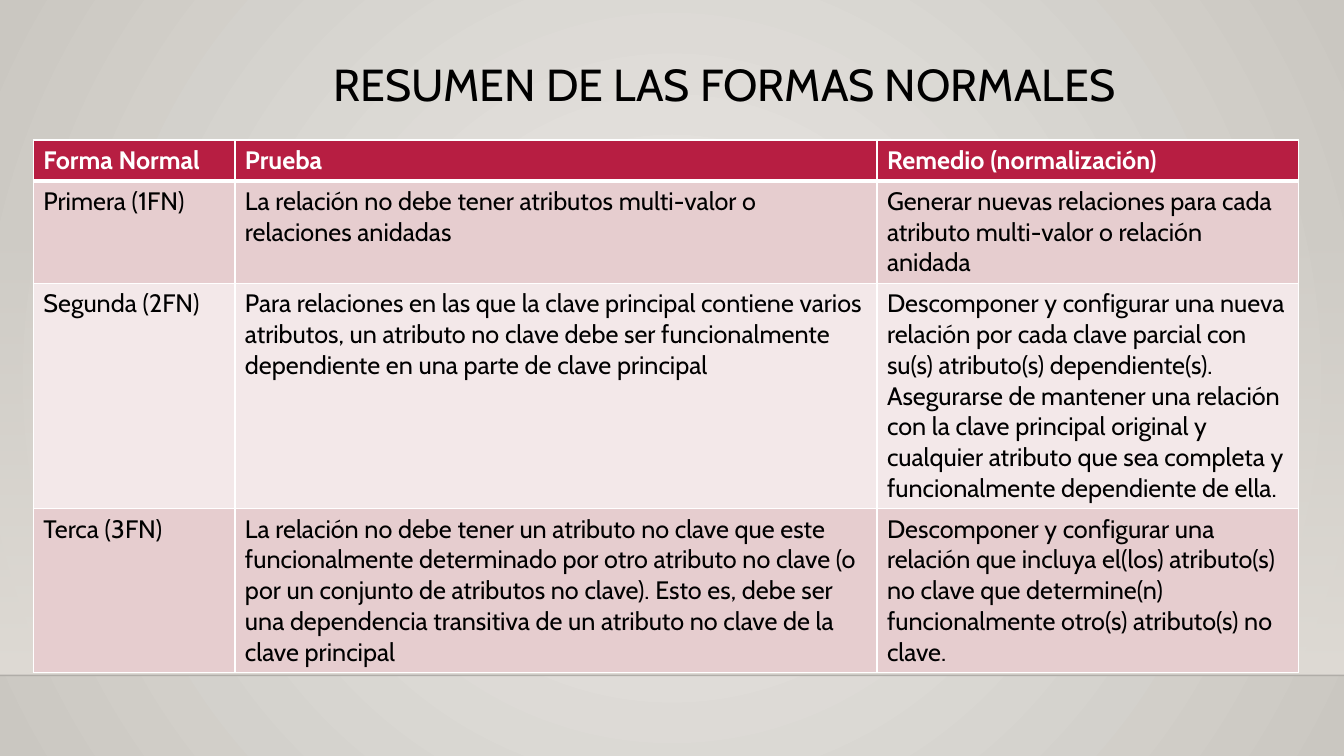
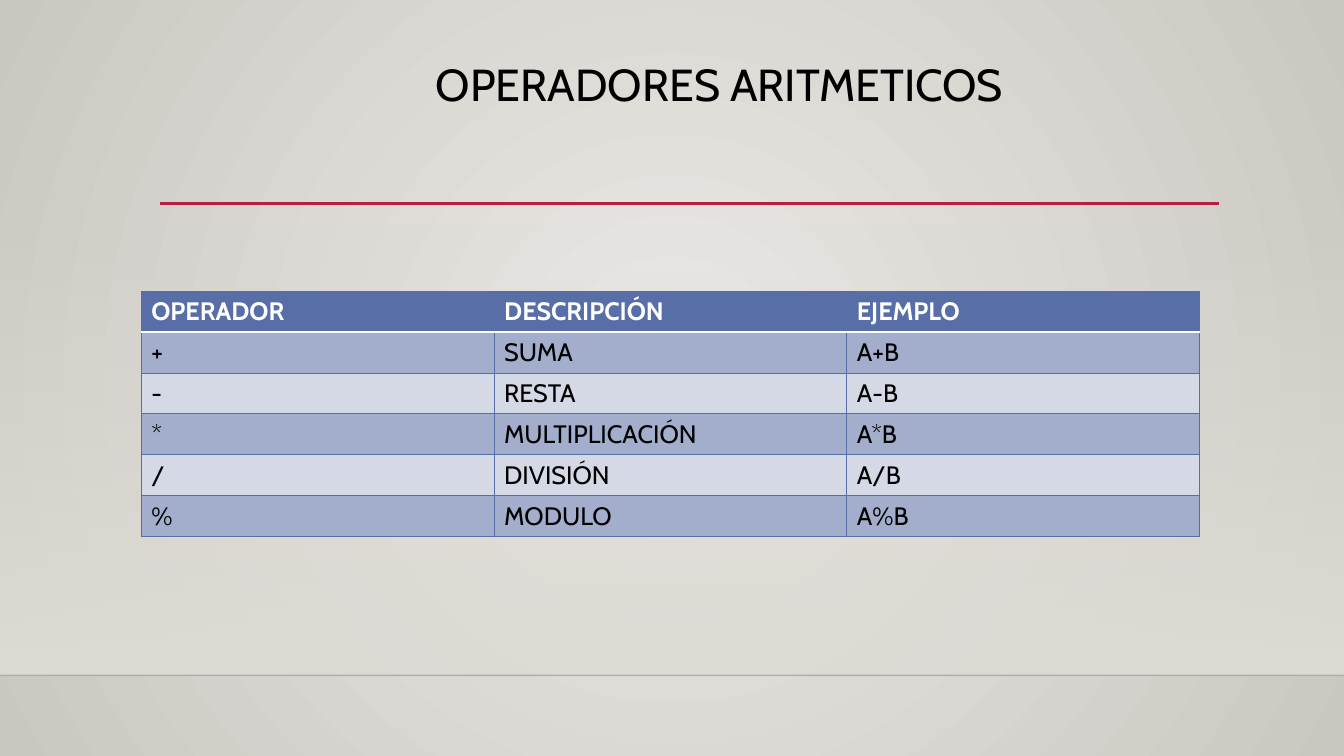
from dataclasses import dataclass

from pptx import Presentation
from pptx.dml.color import RGBColor
from pptx.enum.shapes import MSO_CONNECTOR, MSO_SHAPE
from pptx.enum.text import MSO_ANCHOR, PP_ALIGN
from pptx.oxml import parse_xml
from pptx.oxml.ns import nsdecls, qn
from pptx.util import Cm, Pt

FONT = "Cabin"
WHITE = RGBColor(0xFF, 0xFF, 0xFF)
BLACK = RGBColor(0x00, 0x00, 0x00)
CRIMSON = RGBColor(0xB7, 0x1E, 0x42)
ROSE = RGBColor(0xE6, 0xCD, 0xCF)
PALE_ROSE = RGBColor(0xF3, 0xE8, 0xE9)
BLUE = RGBColor(0x58, 0x6E, 0xA6)
MID_BLUE = RGBColor(0xA3, 0xAE, 0xCD)
PALE_BLUE = RGBColor(0xD5, 0xD9, 0xE5)
BACKDROP_CENTER = RGBColor(0xEC, 0xEA, 0xE7)
BACKDROP_EDGE = RGBColor(0xCA, 0xC7, 0xC1)
BAND = RGBColor(0xDF, 0xDB, 0xD5)

SLIDE_WIDTH, SLIDE_HEIGHT = Cm(33.87), Cm(19.05)
BAND_TOP, FLOOR_TOP = Cm(5.61), Cm(17.02)
RULE_LEFT, RULE_RIGHT, RULE_TOP = Cm(4.04), Cm(30.73), Cm(5.13)
TITLE_BOX = Cm(7.98), Cm(1.45), Cm(20.57), Cm(3.56)

CIRCLE = ('<a:path path="circle"><a:fillToRect l="50000" t="50000" '
          'r="50000" b="50000"/></a:path>')
DOWNWARD = '<a:lin ang="5400000" scaled="0"/>'


@dataclass
class TableTheme:
    """Colours and line widths of one table."""
    header: RGBColor
    bands: tuple
    border: RGBColor
    border_width: float
    header_edge_width: float


CRIMSON_THEME = TableTheme(CRIMSON, (ROSE, PALE_ROSE), WHITE, 1, 3)
BLUE_THEME = TableTheme(BLUE, (MID_BLUE, PALE_BLUE), BLUE, 0.75, 1.25)

NORMAL_FORMS = [
    ("Forma Normal", "Prueba", "Remedio (normalización)"),
    ("Primera (1FN)",
     "La relación no debe tener atributos multi-valor o relaciones anidadas",
     "Generar nuevas relaciones para cada atributo multi-valor o relación "
     "anidada"),
    ("Segunda (2FN)",
     "Para relaciones en las que la clave principal contiene varios "
     "atributos, un atributo no clave debe ser funcionalmente dependiente en "
     "una parte de clave principal",
     "Descomponer y configurar una nueva relación por cada clave parcial con "
     "su(s) atributo(s) dependiente(s). Asegurarse de mantener una relación "
     "con la clave principal original y cualquier atributo que sea completa "
     "y funcionalmente dependiente de ella."),
    ("Terca (3FN)",
     "La relación no debe tener un atributo no clave que este funcionalmente "
     "determinado por otro atributo no clave (o por un conjunto de atributos "
     "no clave). Esto es, debe ser una dependencia transitiva de un atributo "
     "no clave de la clave principal",
     "Descomponer y configurar una relación que incluya el(los) atributo(s) "
     "no clave que determine(n) funcionalmente otro(s) atributo(s) no "
     "clave."),
]
OPERATORS = [("OPERADOR", "DESCRIPCIÓN", "EJEMPLO")] + [
    (sign, name, f"A{sign}B") for sign, name in (
        ("+", "SUMA"), ("-", "RESTA"), ("*", "MULTIPLICACIÓN"),
        ("/", "DIVISIÓN"), ("%", "MODULO"))]


def set_gradient(fill, owner, start, end, direction, start_alpha=100):
    """Give a fill two colour stops and a direction."""
    fill.gradient()
    gradient = owner.find(".//" + qn("a:gradFill"))
    gradient.getparent().replace(gradient, parse_xml(
        f'<a:gradFill {nsdecls("a")} rotWithShape="1"><a:gsLst>'
        f'<a:gs pos="0"><a:srgbClr val="{start}">'
        f'<a:alpha val="{start_alpha * 1000}"/></a:srgbClr></a:gs>'
        f'<a:gs pos="100000"><a:srgbClr val="{end}"/></a:gs>'
        f'</a:gsLst>{direction}</a:gradFill>'))


def add_rule(slide, left, right, top, color, width, alpha=100):
    """Draw a horizontal line without a shadow."""
    rule = slide.shapes.add_connector(MSO_CONNECTOR.STRAIGHT, left, top, right, top)
    rule.line.color.rgb = color
    rule.line.width = Pt(width)
    color_element = rule.element.find(".//" + qn("a:srgbClr"))
    color_element.append(parse_xml(f'<a:alpha {nsdecls("a")} val="{alpha * 1000}"/>'))
    rule.element.spPr.append(parse_xml(f'<a:effectLst {nsdecls("a")}/>'))
    return rule


def add_backdrop(slide, layout):
    """Build the shared backdrop and hand it to the layout."""
    set_gradient(layout.background.fill, layout.element,
                 BACKDROP_CENTER, BACKDROP_EDGE, CIRCLE)
    band = slide.shapes.add_shape(MSO_SHAPE.RECTANGLE, 0, BAND_TOP,
                                  SLIDE_WIDTH, FLOOR_TOP - BAND_TOP)
    band.shadow.inherit = False
    band.line.fill.background()
    set_gradient(band.fill, band.element, BAND, BAND, DOWNWARD, 0)
    floor = add_rule(slide, 0, SLIDE_WIDTH, FLOOR_TOP, BLACK, 1, 20)
    title_rule = add_rule(slide, RULE_LEFT, RULE_RIGHT, RULE_TOP, CRIMSON, 2.5)
    for shape in (band, floor, title_rule):
        layout.shapes.element.append(shape.element)


def write(paragraph, text, size, color, bold=False):
    """Add one formatted run."""
    run = paragraph.add_run()
    run.text = text
    run.font.name = FONT
    run.font.size = Pt(size)
    run.font.bold = bold
    run.font.color.rgb = color


def add_title(slide, text, box):
    """Move and format the title placeholder."""
    title = slide.shapes.title
    title.left, title.top, title.width, title.height = box
    title.text_frame.vertical_anchor = MSO_ANCHOR.TOP
    title.text_frame.word_wrap = True
    paragraph = title.text_frame.paragraphs[0]
    paragraph.alignment = PP_ALIGN.CENTER
    paragraph.line_spacing = 0.9
    write(paragraph, text, 32, BLACK)


def set_borders(cell, theme, row_index):
    """Line all four sides, with a white edge under the header."""
    normal = theme.border, theme.border_width
    header_edge = WHITE, theme.header_edge_width
    sides = {"lnL": normal, "lnR": normal,
             "lnT": header_edge if row_index == 1 else normal,
             "lnB": header_edge if row_index == 0 else normal}
    properties = cell._tc.get_or_add_tcPr()
    for position, (side, (color, width)) in enumerate(sides.items()):
        properties.insert(position, parse_xml(
            f'<a:{side} {nsdecls("a")} w="{Pt(width)}"><a:solidFill>'
            f'<a:srgbClr val="{color}"/></a:solidFill></a:{side}>'))


def add_table(slide, left, top, widths, heights, rows, theme):
    """Place a table with a header and alternating row fills."""
    table = slide.shapes.add_table(len(rows), len(widths), left, top,
                                   sum(widths), sum(heights)).table
    for column, width in zip(table.columns, widths):
        column.width = width
    for row_index, (texts, height) in enumerate(zip(rows, heights)):
        table.rows[row_index].height = height
        header = row_index == 0
        for column_index, text in enumerate(texts):
            cell = table.cell(row_index, column_index)
            cell.fill.solid()
            cell.fill.fore_color.rgb = (
                theme.header if header else theme.bands[(row_index - 1) % 2])
            set_borders(cell, theme, row_index)
            write(cell.text_frame.paragraphs[0], text, 18,
                  WHITE if header else BLACK, header)


def main():
    """Build and save both slides."""
    presentation = Presentation()
    presentation.slide_width, presentation.slide_height = SLIDE_WIDTH, SLIDE_HEIGHT
    layout = presentation.slide_layouts.get_by_name("Title Only")

    normal_forms = presentation.slides.add_slide(layout)
    add_backdrop(normal_forms, layout)
    add_title(normal_forms, "RESUMEN DE LAS FORMAS NORMALES", TITLE_BOX)
    add_table(normal_forms, Cm(0.84), Cm(3.53),
              [Cm(5.08), Cm(16.18), Cm(10.62)],
              [Cm(1.03), Cm(2.58), Cm(5.67), Cm(4.13)],
              NORMAL_FORMS, CRIMSON_THEME)

    operators = presentation.slides.add_slide(layout)
    add_title(operators, "OPERADORES ARITMETICOS ", TITLE_BOX)
    add_table(operators, Cm(3.56), Cm(7.34), [Cm(8.89)] * 3,
              [Cm(1.03)] * len(OPERATORS), OPERATORS, BLUE_THEME)

    presentation.save("out.pptx")


if __name__ == "__main__":
    main()
